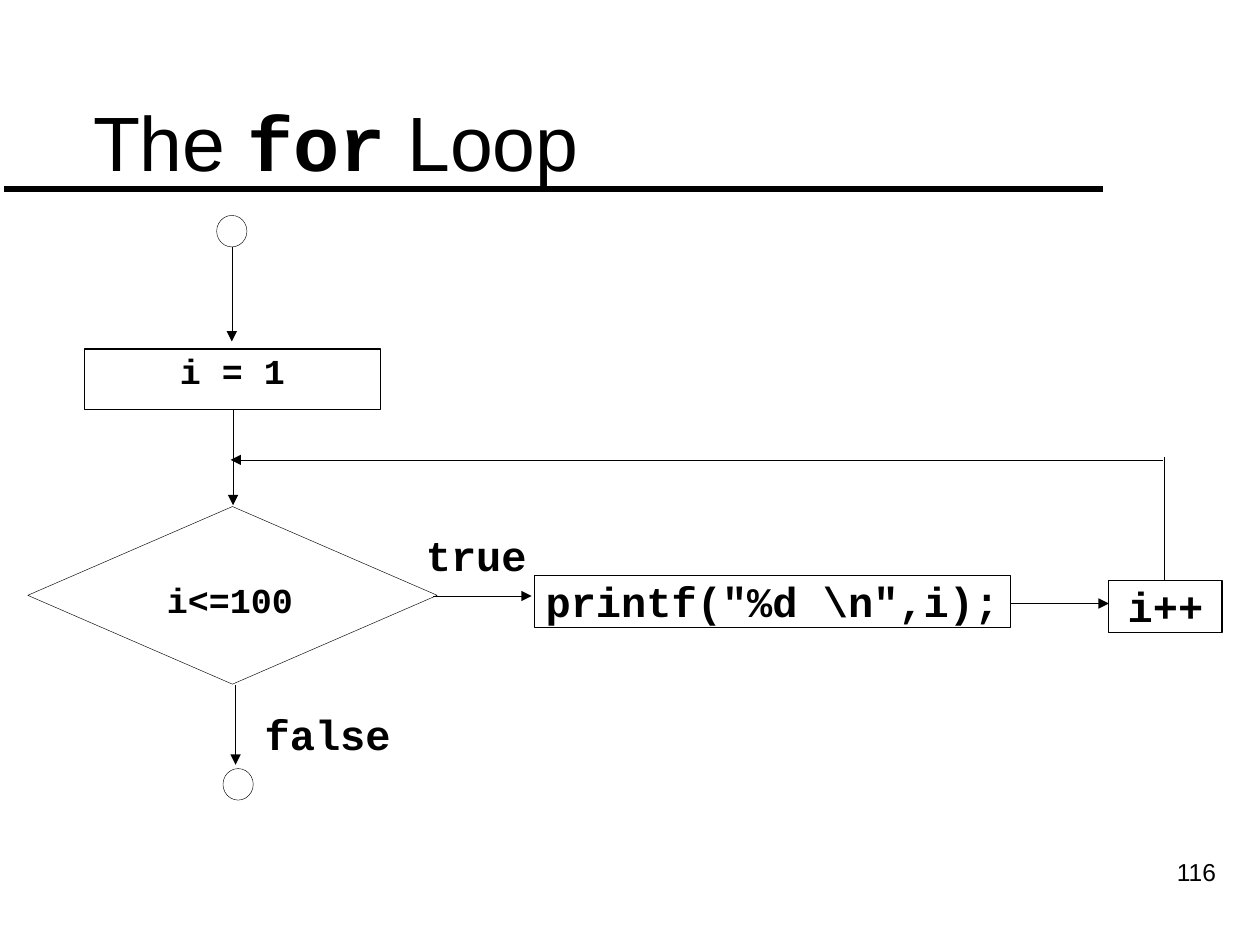
import dataclasses

import lxml.etree
import pptx
import pptx.dml.color
import pptx.enum.shapes
import pptx.enum.text
import pptx.oxml.ns
import pptx.util

PX = 9144  # EMU in one px, at 100 px to the inch
SHAPE = pptx.enum.shapes.MSO_SHAPE
ALIGN = pptx.enum.text.PP_ALIGN
ANCHOR = pptx.enum.text.MSO_ANCHOR


@dataclasses.dataclass(frozen=True)
class Theme:
    ink = pptx.dml.color.RGBColor(0, 0, 0)
    paper = pptx.dml.color.RGBColor(255, 255, 255)
    sans = "Arial"
    mono = "Courier New"
    title = 44
    code = 24
    small = 20
    page = 14
    rule = 4
    thin = 0.25


THEME = Theme()


def scale(*sizes):
    return [pptx.util.Emu(size * PX) for size in sizes]


def style(target, values):
    for name, value in values.items():
        setattr(target, name, value)


def write(frame, runs, size, align=ALIGN.LEFT, anchor=ANCHOR.TOP, pad=(0, 0)):
    """Fill a text frame with one paragraph of (text, font, bold) runs."""
    side, edge = scale(*pad)
    style(frame, {"word_wrap": True, "vertical_anchor": anchor,
                  "margin_left": side, "margin_right": side,
                  "margin_top": edge, "margin_bottom": edge})
    para = frame.paragraphs[0]
    para.alignment = align
    for text, face, bold in runs:
        run = para.add_run()
        run.text = text
        style(run.font, {"name": face, "bold": bold,
                         "size": pptx.util.Pt(size)})
        run.font.color.rgb = THEME.ink


def label(slide, box, runs, size, **extra):
    write(slide.shapes.add_textbox(*scale(*box)).text_frame,
          runs, size, **extra)


def code(text):
    return [(text, THEME.mono, True)]


def node(slide, kind, box, text=None, size=THEME.code, filled=False):
    """Add an outlined flowchart shape, with code in it if given."""
    shape = slide.shapes.add_shape(kind, *scale(*box))
    shape.shadow.inherit = False
    if filled:
        shape.fill.solid()
        shape.fill.fore_color.rgb = THEME.paper
    else:
        shape.fill.background()
    shape.line.color.rgb = THEME.ink
    shape.line.width = pptx.util.Pt(0 if text else THEME.thin)
    if text:
        write(shape.text_frame, code(text), size, ALIGN.CENTER)


def link(slide, ends, width=THEME.thin, arrow=True):
    """Add a straight line, with its arrowhead at the far end."""
    line = slide.shapes.add_connector(
        pptx.enum.shapes.MSO_CONNECTOR.STRAIGHT, *scale(*ends))
    line.line.color.rgb = THEME.ink
    line.line.width = pptx.util.Pt(width)
    props = line._element.spPr
    if arrow:
        lxml.etree.SubElement(props.find(pptx.oxml.ns.qn("a:ln")),
                              pptx.oxml.ns.qn("a:tailEnd"), type="triangle")
    lxml.etree.SubElement(props, pptx.oxml.ns.qn("a:effectLst"))


def main():
    deck = pptx.Presentation()
    deck.slide_width, deck.slide_height = scale(1000, 750)
    slide = deck.slides.add_slide(deck.slide_layouts[6])

    # Title, rule and page number
    link(slide, (3, 150, 875, 150), THEME.rule, arrow=False)
    label(slide, (842, 675, 133, 52), [("116", THEME.sans, False)],
          THEME.page, align=ALIGN.RIGHT, pad=(10, 5))
    label(slide, (64, 32, 850, 121),
          [("The ", THEME.sans, False), ("for", THEME.mono, True),
           (" Loop", THEME.sans, False)],
          THEME.title, anchor=ANCHOR.BOTTOM, pad=(10, 5))

    # Test, with its text and the two ways out
    node(slide, SHAPE.DIAMOND, (22, 402, 325, 141), filled=True)
    label(slide, (35, 459, 295, 39), code("i<=100"), THEME.small,
          align=ALIGN.CENTER)
    label(slide, (338, 420, 86, 50), code("true"), THEME.code)
    label(slide, (210, 562, 105, 50), code("false"), THEME.code)

    # Start and end
    for left, top in ((172, 171), (177, 610)):
        node(slide, SHAPE.OVAL, (left, top, 24, 25))

    # Steps
    for text, box, size in (
            ("i = 1", (67, 277, 235, 48), THEME.small),
            ('printf("%d \\n",i);', (424, 457, 378, 41), THEME.code),
            ("i++", (880, 461, 90, 41), THEME.code)):
        node(slide, SHAPE.RECTANGLE, box, text, size)

    # Flow, then the way back up from i++
    for ends in ((184, 196, 184, 271), (185, 325, 185, 401),
                 (187, 544, 187, 607), (344, 473, 422, 473),
                 (802, 479, 880, 479), (923, 365, 183, 365)):
        link(slide, ends)
    link(slide, (924, 460, 924, 363), arrow=False)

    deck.save("out.pptx")


if __name__ == "__main__":
    main()
